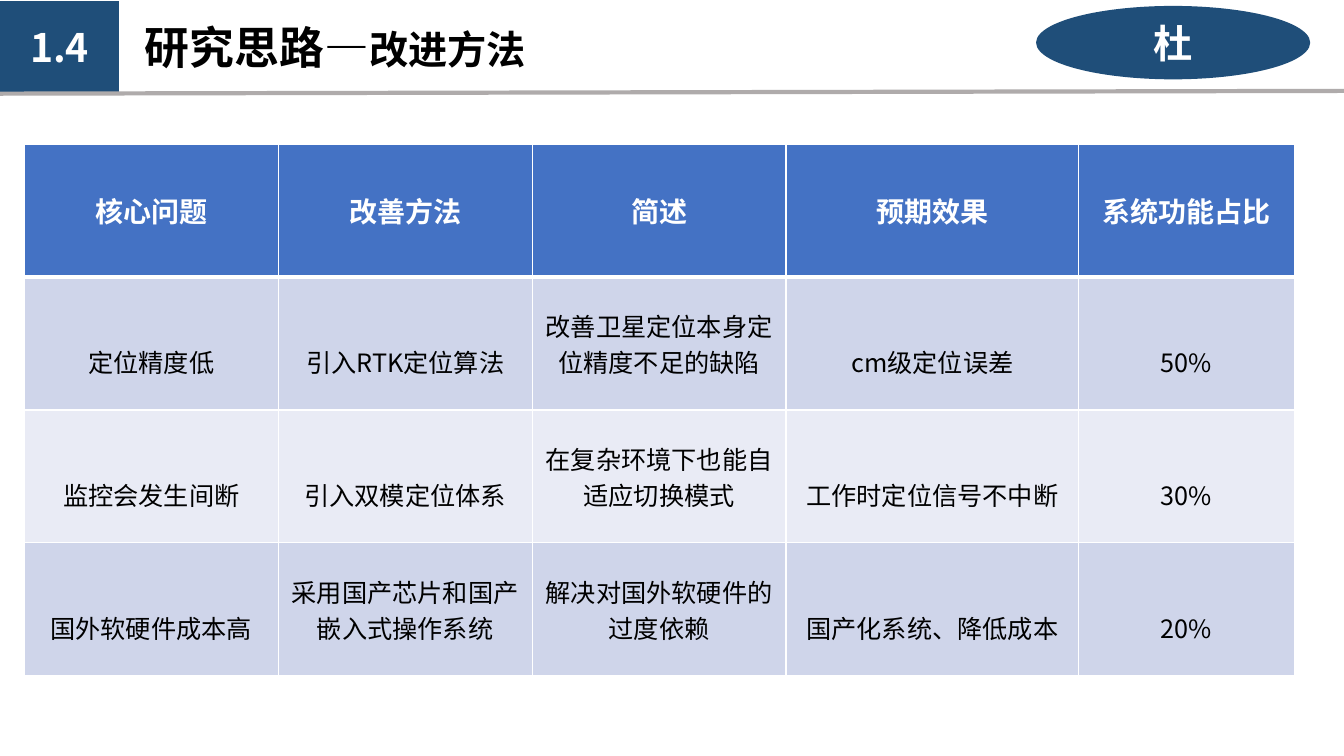
from lxml import etree
from pptx import Presentation
from pptx.dml.color import RGBColor
from pptx.enum.shapes import MSO_CONNECTOR, MSO_SHAPE
from pptx.enum.text import MSO_ANCHOR, PP_ALIGN
from pptx.oxml.ns import qn
from pptx.util import Cm, Pt

# Content
SECTION = "1.4"
TITLE = [("研究思路—", 32), ("改进方法", 28)]
BADGE = "杜"
ROWS = [
    ("核心问题", "改善方法", "简述", "预期效果", "系统功能占比"),
    ("定位精度低", "引入RTK定位算法", "改善卫星定位本身定位精度不足的缺陷",
     "cm级定位误差", "50%"),
    ("监控会发生间断", "引入双模定位体系", "在复杂环境下也能自适应切换模式",
     "工作时定位信号不中断", "30%"),
    ("国外软硬件成本高", "采用国产芯片和国产嵌入式操作系统",
     "解决对国外软硬件的过度依赖", "国产化系统、降低成本", "20%"),
]
TWO_LINE_CELLS = {(1, 2), (2, 2), (3, 1), (3, 2)}

# Layout, in cm
SECTION_BOX = (0, 0.03, 3, 2.31)
BADGE_BOX = (26.11, 0.15, 6.91, 1.85)
TITLE_BOX = (3.4, 0.38, 24.23, 1.63)
RULE = (-0.05, 2.36, 33.93, 2.29)
TABLE_LEFT, TABLE_TOP = 0.61, 3.63
COL_WIDTHS = (6.4, 6.4, 6.4, 7.37, 5.44)
ROW_HEIGHT = 3.35
LOWERED_MARGIN = 1.05

# Style
FONT = "Noto Sans CJK SC"
NAVY = RGBColor(0x1F, 0x4E, 0x79)
GRAY = RGBColor(0xAF, 0xAB, 0xAB)
WHITE = RGBColor(0xFF, 0xFF, 0xFF)
BLACK = RGBColor(0, 0, 0)
HEADER_BLUE = RGBColor(0x44, 0x72, 0xC4)
BANDS = (RGBColor(0xE9, 0xEB, 0xF5), RGBColor(0xCF, 0xD5, 0xEA))
CENTER = PP_ALIGN.CENTER
MIDDLE = MSO_ANCHOR.MIDDLE
RECT, OVAL = MSO_SHAPE.RECTANGLE, MSO_SHAPE.OVAL
STRAIGHT = MSO_CONNECTOR.STRAIGHT


def cm(values):
    return [Cm(v) for v in values]


def add_run(p, text, size, color, bold=True):
    r = p.add_run()
    r.text = text
    fmt = {"name": FONT, "size": Pt(size), "bold": bold}
    for key, value in fmt.items():
        setattr(r.font, key, value)
    r.font.color.rgb = color
    ea = etree.SubElement(r._r.get_or_add_rPr(), qn("a:ea"))
    ea.set("typeface", FONT)


def add_label(s, kind, box, text):
    sp = s.shapes.add_shape(kind, *cm(box))
    sp.shadow.inherit = False
    sp.fill.solid()
    sp.fill.fore_color.rgb = NAVY
    sp.line.fill.background()
    tf = sp.text_frame
    tf.vertical_anchor = MIDDLE
    p = tf.paragraphs[0]
    p.alignment = CENTER
    add_run(p, text, 28, WHITE)


def set_borders(cell, bottom):
    tcPr = cell._tc.get_or_add_tcPr()
    widths = {"a:lnL": 1, "a:lnR": 1, "a:lnT": 1, "a:lnB": bottom}
    for i, (tag, width) in enumerate(widths.items()):
        ln = etree.Element(qn(tag), w=str(Pt(width)))
        fill = etree.SubElement(ln, qn("a:solidFill"))
        etree.SubElement(fill, qn("a:srgbClr"), val=str(WHITE))
        tcPr.insert(i, ln)


def fill_cell(cell, row, col):
    header = row == 0
    cell.fill.solid()
    cell.fill.fore_color.rgb = HEADER_BLUE if header else BANDS[row % 2]
    cell.vertical_anchor = MIDDLE
    # One-line body text sits level with the second line of its neighbours
    if not header and (row, col) not in TWO_LINE_CELLS:
        cell.margin_top = Cm(LOWERED_MARGIN)
    p = cell.text_frame.paragraphs[0]
    p.alignment = CENTER
    add_run(p, ROWS[row][col], 20 if header else 18,
            WHITE if header else BLACK, header)
    set_borders(cell, 3 if header else 1)


def main():
    prs = Presentation()
    prs.slide_width, prs.slide_height = Cm(33.87), Cm(19.05)
    s = prs.slides.add_slide(prs.slide_layouts[6])

    # Heading
    add_label(s, RECT, SECTION_BOX, SECTION)
    rule = s.shapes.add_connector(STRAIGHT, *cm(RULE))
    rule.line.color.rgb = GRAY
    rule.line.width = Pt(3)
    etree.SubElement(rule._element.spPr, qn("a:effectLst"))
    tf = s.shapes.add_textbox(*cm(TITLE_BOX)).text_frame
    tf.word_wrap = True
    for text, size in TITLE:
        add_run(tf.paragraphs[0], text, size, BLACK)
    add_label(s, OVAL, BADGE_BOX, BADGE)

    # Table
    size = (sum(COL_WIDTHS), ROW_HEIGHT * len(ROWS))
    frame = s.shapes.add_table(len(ROWS), len(COL_WIDTHS),
                               *cm((TABLE_LEFT, TABLE_TOP, *size)))
    table = frame.table
    for column, width in zip(table.columns, COL_WIDTHS):
        column.width = Cm(width)
    for i, row in enumerate(table.rows):
        row.height = Cm(ROW_HEIGHT)
        for j, cell in enumerate(row.cells):
            fill_cell(cell, i, j)

    prs.save("out.pptx")


if __name__ == "__main__":
    main()
